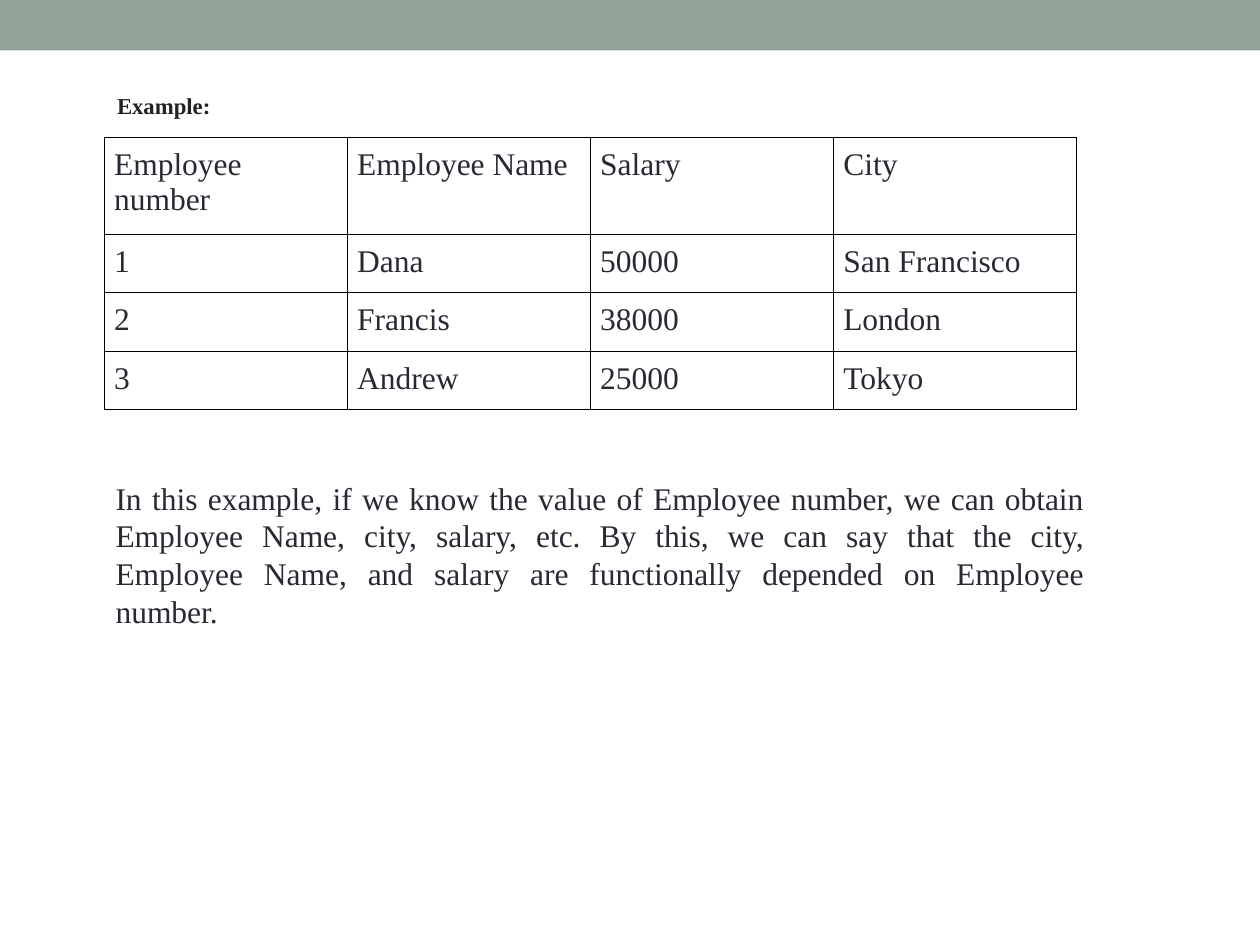
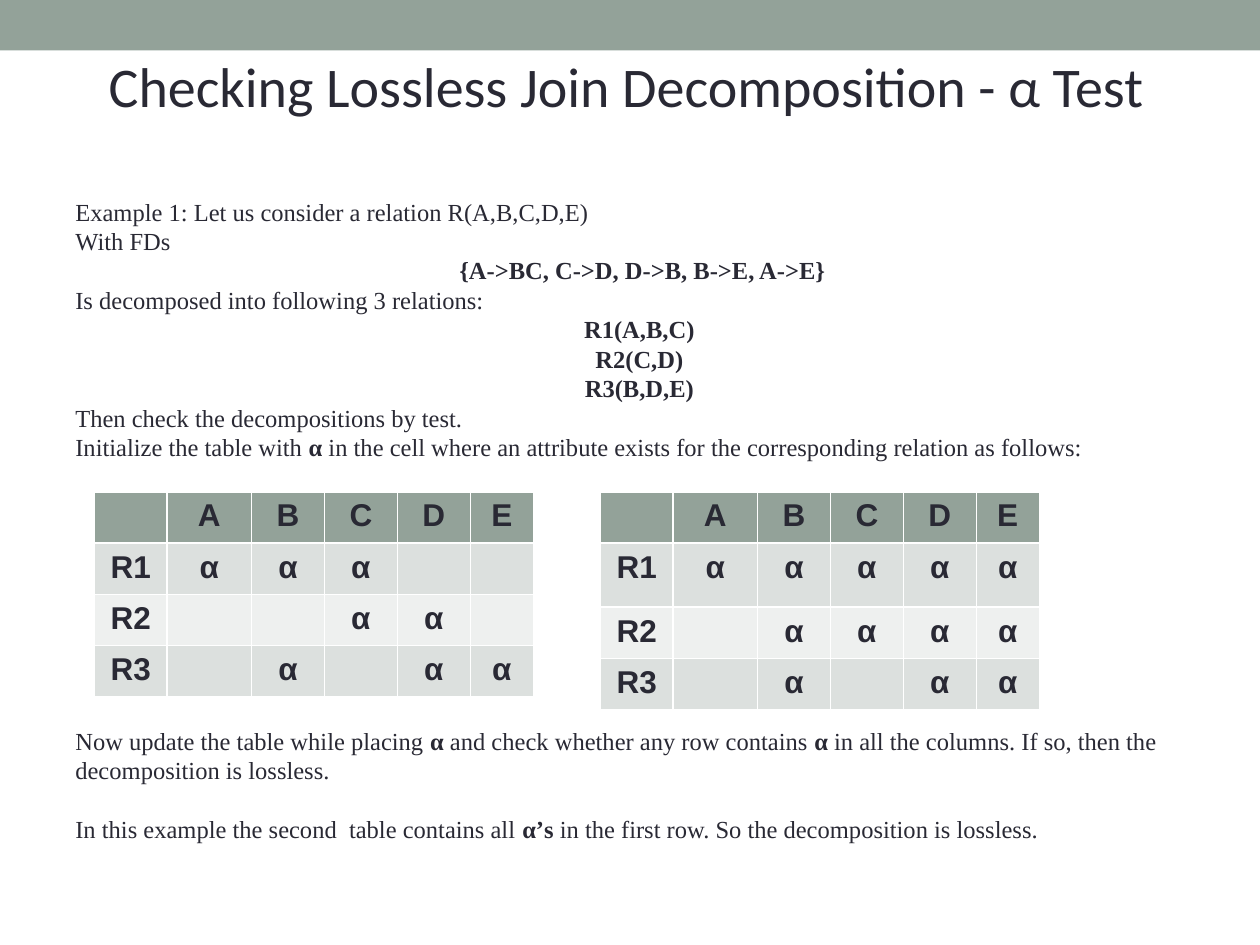
"""Build two slides on functional dependency and the lossless join α test."""
from lxml.etree import SubElement
from pptx import Presentation
from pptx.dml.color import RGBColor
from pptx.enum.shapes import MSO_SHAPE
from pptx.enum.text import MSO_ANCHOR, PP_ALIGN as ALIGN
from pptx.oxml.ns import qn
from pptx.util import Cm, Pt

SAGE = RGBColor(0x93, 0xA2, 0x99)
BAND_DARK = RGBColor(0xDC, 0xE0, 0xDE)
BAND_LIGHT = RGBColor(0xEE, 0xF0, 0xEF)
INK = RGBColor(0x29, 0x29, 0x34)
CHARCOAL = RGBColor(0x22, 0x22, 0x22)
WHITE = RGBColor(0xFF, 0xFF, 0xFF)
BLACK = RGBColor(0, 0, 0)
SERIF, SANS, TITLE_FONT = "Times New Roman", "Arial", "Calibri"

EMPLOYEES = [
    ("Employee number", "Employee Name", "Salary", "City"),
    ("1", "Dana", "50000", "San Francisco"),
    ("2", "Francis", "38000", "London"),
    ("3", "Andrew", "25000", "Tokyo"),
]
EXPLANATION = (
    "In this example, if we know the value of Employee number, we can obtain "
    "Employee Name, city, salary, etc. By this, we can say that the city, "
    "Employee Name, and salary are functionally depended on Employee number."
)

TITLE = "Checking Lossless Join Decomposition - α Test"
LINE = 16.8
L, C = ALIGN.LEFT, ALIGN.CENTER
# Each step: alignment, blank lines before, alternating plain and bold runs.
STEPS = [
    (L, 0, ["Example 1: Let us consider a relation R(A,B,C,D,E)"]),
    (L, 0, ["With FDs"]),
    (C, 0, [" ", "{A->BC, C->D, D->B, B->E, A->E}"]),
    (L, 0, ["Is decomposed into following 3 relations:"]),
    (C, 0, ["", "R1(A,B,C)"]),
    (C, 0, ["", "R2(C,D)"]),
    (C, 0, ["", "R3(B,D,E)"]),
    (L, 0, ["Then check the decompositions by test."]),
    (L, 0, ["Initialize the table with ", "α", " in the cell where an attribute "
            "exists for the corresponding relation as follows:"]),
    (L, 9, ["Now update the table while placing ", "α ",
            "and check whether any row contains ", "α ",
            "in all the columns. If so, then the decomposition is lossless."]),
    (L, 1, ["In this example the second  table contains all ", "α’s ",
            "in the first row. So the decomposition is lossless."]),
]

ATTRIBUTES = "ABCDE"
ALPHA_COLS = [1.47, 1.7, 1.47, 1.47, 1.47, 1.27]
ALPHA_TABLES = [
    (1.9, [1.03, 1.03, 1.03, 1.03], {"R1": "ABC", "R2": "CD", "R3": "BDE"}),
    (12.1, [1.03, 1.29, 1.03, 1.03], {"R1": "ABCDE", "R2": "BCDE", "R3": "BDE"}),
]


def style(p, font, size, color=INK, bold=False, align=ALIGN.LEFT):
    p.alignment = align
    f = p.font
    f.name, f.size, f.bold = font, Pt(size), bold
    f.color.rgb = color


def new_slide(prs):
    slide = prs.slides.add_slide(prs.slide_layouts[6])
    band = slide.shapes.add_shape(MSO_SHAPE.RECTANGLE, 0, 0, prs.slide_width, Cm(1.02))
    band.shadow.inherit = False
    band.fill.solid()
    band.fill.fore_color.rgb = SAGE
    band.line.fill.background()
    return slide


def add_text(slide, box, text=""):
    tf = slide.shapes.add_textbox(*map(Cm, box)).text_frame
    tf.word_wrap = True
    tf.text = text
    return tf


def set_borders(cell, color, width):
    tc_pr = cell._tc.get_or_add_tcPr()
    for side in ("lnL", "lnR", "lnT", "lnB"):
        ln = SubElement(tc_pr, qn(f"a:{side}"), w=str(Pt(width)))
        SubElement(SubElement(ln, qn("a:solidFill")), qn("a:srgbClr"), val=str(color))


def add_table(slide, left, top, widths, heights, rows, border, fills, margin=None, **font):
    table = slide.shapes.add_table(len(rows), len(widths), Cm(left), Cm(top),
                                   Cm(sum(widths)), Cm(sum(heights))).table
    for col, width in zip(table.columns, widths):
        col.width = Cm(width)
    for i, (row, height, fill) in enumerate(zip(rows, heights, fills)):
        table.rows[i].height = Cm(height)
        for cell, text in zip(table.rows[i].cells, row):
            set_borders(cell, *border)
            cell.fill.solid()
            cell.fill.fore_color.rgb = fill
            if margin:
                cell.margin_left = cell.margin_right = Cm(margin)
                cell.margin_top = cell.margin_bottom = Cm(margin)
            cell.text = text
            style(cell.text_frame.paragraphs[0], size=18, **font)


def employee_slide(prs):
    slide = new_slide(prs)
    tf = add_text(slide, (2.11, 1.73, 6.6, 0.81), "Example:")
    tf.vertical_anchor = MSO_ANCHOR.MIDDLE
    style(tf.paragraphs[0], SERIF, 13, CHARCOAL, True)
    add_table(slide, 2.1, 2.78, [4.9] * 4, [1.94] + [1.18] * 3, EMPLOYEES,
              (BLACK, 0.75), [WHITE] * 4, margin=0.2, font=SERIF)
    p = add_text(slide, (2.08, 9.53, 20.04, 3.33), EXPLANATION).paragraphs[0]
    style(p, SERIF, 18, align=ALIGN.JUSTIFY)
    p.line_spacing = Pt(21.5)


def alpha_slide(prs):
    slide = new_slide(prs)
    tf = add_text(slide, (1.09, 0.91, 23.09, 3), TITLE)
    style(tf.paragraphs[0], TITLE_FONT, 32, align=ALIGN.CENTER)

    tf = add_text(slide, (1.27, 3.84, 23.24, 15.21))
    for i, (align, blank_lines, runs) in enumerate(STEPS):
        p = tf.add_paragraph() if i else tf.paragraphs[0]
        style(p, SERIF, 14, align=align)
        p.line_spacing = Pt(LINE)
        p.space_before = Pt(LINE * blank_lines)
        for j, text in enumerate(runs):
            if text:
                r = p.add_run()
                r.text = text
                r.font.bold = j % 2 == 1

    for left, heights, relations in ALPHA_TABLES:
        rows = [["", *ATTRIBUTES]]
        for name, marked in relations.items():
            rows.append([name] + ["α" if a in marked else "" for a in ATTRIBUTES])
        add_table(slide, left, 9.92, ALPHA_COLS, heights, rows, (WHITE, 1),
                  [SAGE, BAND_DARK, BAND_LIGHT, BAND_DARK],
                  font=SANS, bold=True, align=ALIGN.CENTER)


def main():
    prs = Presentation()
    prs.slide_width, prs.slide_height = Cm(25.4), Cm(19.05)
    employee_slide(prs)
    alpha_slide(prs)
    prs.save("out.pptx")


if __name__ == "__main__":
    main()
